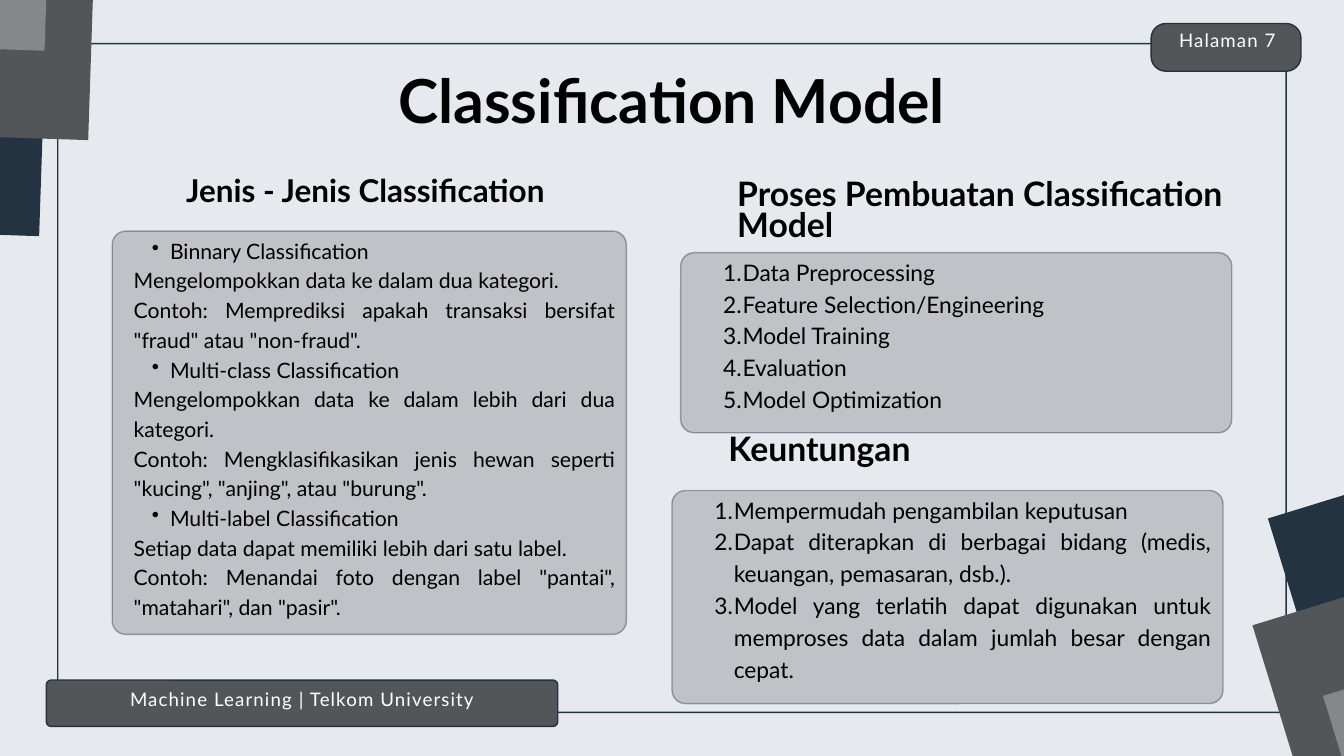
"""Builds the Classification Model slide."""
import dataclasses

import pptx
import pptx.dml.color
import pptx.enum.shapes
import pptx.enum.text
import pptx.oxml
import pptx.oxml.ns
import pptx.util

EMU_PER_PX = 9144
ALIGN = pptx.enum.text.PP_ALIGN
SHAPES = pptx.enum.shapes.MSO_SHAPE


@dataclasses.dataclass(frozen=True)
class Theme:
    font: str = "Lato"
    paper: str = "E6EAEF"
    navy: str = "243342"
    charcoal: str = "535659"
    gray: str = "858789"
    ink: str = "000000"
    white: str = "FFFFFF"
    title: float = 65
    heading_left: float = 33.7
    heading_right: float = 36.1
    body_left: float = 22.7
    body_right: float = 24.4
    label: float = 20
    outline: float = 1.5
    panel_opacity: int = 40


THEME = Theme()

KINDS = (
    ("Binnary Classification",
     "Mengelompokkan data ke dalam dua kategori.",
     'Contoh: Memprediksi apakah transaksi bersifat "fraud" atau "non-fraud".'),
    ("Multi-class Classification",
     "Mengelompokkan data ke dalam lebih dari dua kategori.",
     'Contoh: Mengklasifikasikan jenis hewan seperti "kucing", "anjing", atau "burung".'),
    ("Multi-label Classification",
     "Setiap data dapat memiliki lebih dari satu label.",
     'Contoh: Menandai foto dengan label "pantai", "matahari", dan "pasir".'),
)
STEPS = ("Data Preprocessing", "Feature Selection/Engineering", "Model Training",
         "Evaluation", "Model Optimization")
BENEFITS = (
    "Mempermudah pengambilan keputusan",
    "Dapat diterapkan di berbagai bidang (medis, keuangan, pemasaran, dsb.).",
    "Model yang terlatih dapat digunakan untuk memproses data dalam jumlah besar dengan cepat.",
)


def px(length):
    return pptx.util.Emu(length * EMU_PER_PX)


def rgb(color):
    return pptx.dml.color.RGBColor.from_string(color)


def add_block(slide, preset, box, fill):
    block = slide.shapes.add_shape(preset, *map(px, box))
    block.shadow.inherit = False
    block.fill.solid()
    block.fill.fore_color.rgb = rgb(fill)
    block.line.fill.background()
    return block


def add_rounded(slide, box, radius, fill, opacity=100):
    panel = add_block(slide, SHAPES.ROUNDED_RECTANGLE, box, fill)
    panel.adjustments[0] = radius / min(box[2:])
    panel.line.color.rgb = rgb(THEME.navy)
    panel.line.width = pptx.util.Pt(THEME.outline)
    if opacity < 100:
        for color in panel.element.spPr.iter(pptx.oxml.ns.qn("a:srgbClr")):
            alpha = pptx.oxml.parse_xml(
                f'<a:alpha {pptx.oxml.ns.nsdecls("a")} val="{opacity * 1000}"/>')
            color.append(alpha)


def add_corner(slide, squares, rotation):
    for (left, top), color in zip(squares, (THEME.navy, THEME.charcoal, THEME.gray)):
        square = add_block(slide, SHAPES.RECTANGLE, (left, top, 607, 610), color)
        square.rotation = rotation


def prepare_frame(holder):
    frame = holder.text_frame
    frame.word_wrap = True
    frame.auto_size = pptx.enum.text.MSO_AUTO_SIZE.NONE
    frame.vertical_anchor = pptx.enum.text.MSO_ANCHOR.TOP
    frame.margin_left = frame.margin_top = frame.margin_right = frame.margin_bottom = 0
    return frame


def set_marker(paragraph, marker, indent):
    properties = paragraph._p.get_or_add_pPr()
    properties.set("marL", str(px(2 * indent)))
    properties.set("indent", str(px(-indent)))
    properties.append(pptx.oxml.parse_xml(marker))


def write(paragraph, text, size, spacing, align, color=THEME.ink, bold=False, tracking=0):
    paragraph.alignment = align
    paragraph.line_spacing = pptx.util.Pt(spacing)
    run = paragraph.add_run()
    run.text = text
    run.font.name = THEME.font
    run.font.size = pptx.util.Pt(size)
    run.font.bold = bold
    run.font.color.rgb = rgb(color)
    if tracking:
        run._r.get_or_add_rPr().set("spc", str(tracking))


def place_title(slide, text, box):
    title = slide.shapes.title
    title.left, title.top, title.width, title.height = map(px, box)
    title.element.getparent().append(title.element)
    write(prepare_frame(title).paragraphs[0], text, THEME.title, 59.8, ALIGN.CENTER, bold=True)


def add_text(slide, box, text, size, spacing, align=ALIGN.LEFT, **style):
    frame = prepare_frame(slide.shapes.add_textbox(*map(px, box)))
    write(frame.paragraphs[0], text, size, spacing, align, **style)


def add_list(slide, box, entries, size, spacing, indent):
    frame = prepare_frame(slide.shapes.add_textbox(*map(px, box)))
    for number, (text, marker) in enumerate(entries):
        paragraph = frame.add_paragraph() if number else frame.paragraphs[0]
        if marker:
            set_marker(paragraph, marker, indent)
        write(paragraph, text, size, spacing, ALIGN.JUSTIFY)


def add_badge(slide, box, radius, text, text_box):
    add_rounded(slide, box, radius, THEME.charcoal)
    add_text(slide, text_box, text, THEME.label, 28, ALIGN.CENTER,
             color=THEME.white, tracking=120)


def add_kinds(slide):
    dot = f'<a:buChar {pptx.oxml.ns.nsdecls("a")} char="•"/>'
    entries = [(text, None if position else dot)
               for kind in KINDS for position, text in enumerate(kind)]
    add_rounded(slide, (167, 344, 765, 600), 20, THEME.gray, THEME.panel_opacity)
    add_list(slide, (199, 348, 716, 666), entries, THEME.body_left, 31.8, 27)
    add_text(slide, (277, 267, 632, 64), "Jenis - Jenis Classification",
             THEME.heading_left, 31, bold=True)


def add_numbered_panel(slide, left, top, height, items, heading, heading_top):
    number = f'<a:buAutoNum {pptx.oxml.ns.nsdecls("a")} type="arabicPeriod"/>'
    add_rounded(slide, (left, top, 820, height), 20, THEME.gray, THEME.panel_opacity)
    add_list(slide, (left + 34, top + 2, 768, height - 23),
             [(item, number) for item in items], THEME.body_right, 34.1, 29)
    add_text(slide, (left + 84, heading_top, 783, top - heading_top), heading,
             THEME.heading_right, 33.2, bold=True)


def main():
    deck = pptx.Presentation()
    deck.slide_width, deck.slide_height = px(2000), px(1125)
    slide = deck.slides.add_slide(deck.slide_layouts[5])
    slide.background.fill.solid()
    slide.background.fill.fore_color.rgb = rgb(THEME.paper)

    add_rounded(slide, (86, 65, 1828, 995), 10, THEME.paper)
    add_corner(slide, ((-540, -267), (-467, -410), (-532, -543)), 271.9)
    add_corner(slide, ((1964, 667), (1941, 826), (2046, 931)), 72.9)
    place_title(slide, "Classification Model", (577, 119, 846, 121))
    add_kinds(slide)
    add_badge(slide, (1713, 35, 223, 71), 22, "Halaman 7", (1708, 38, 237, 49))
    add_badge(slide, (69, 1012, 761, 69), 7, "Machine Learning | Telkom University",
              (60, 1018, 779, 49))
    add_numbered_panel(slide, 1013, 376, 268, STEPS,
                       "Proses Pembuatan Classification Model", 272)
    add_numbered_panel(slide, 1000, 730, 317, BENEFITS, "Keuntungan", 651)
    deck.save("out.pptx")


if __name__ == "__main__":
    main()
